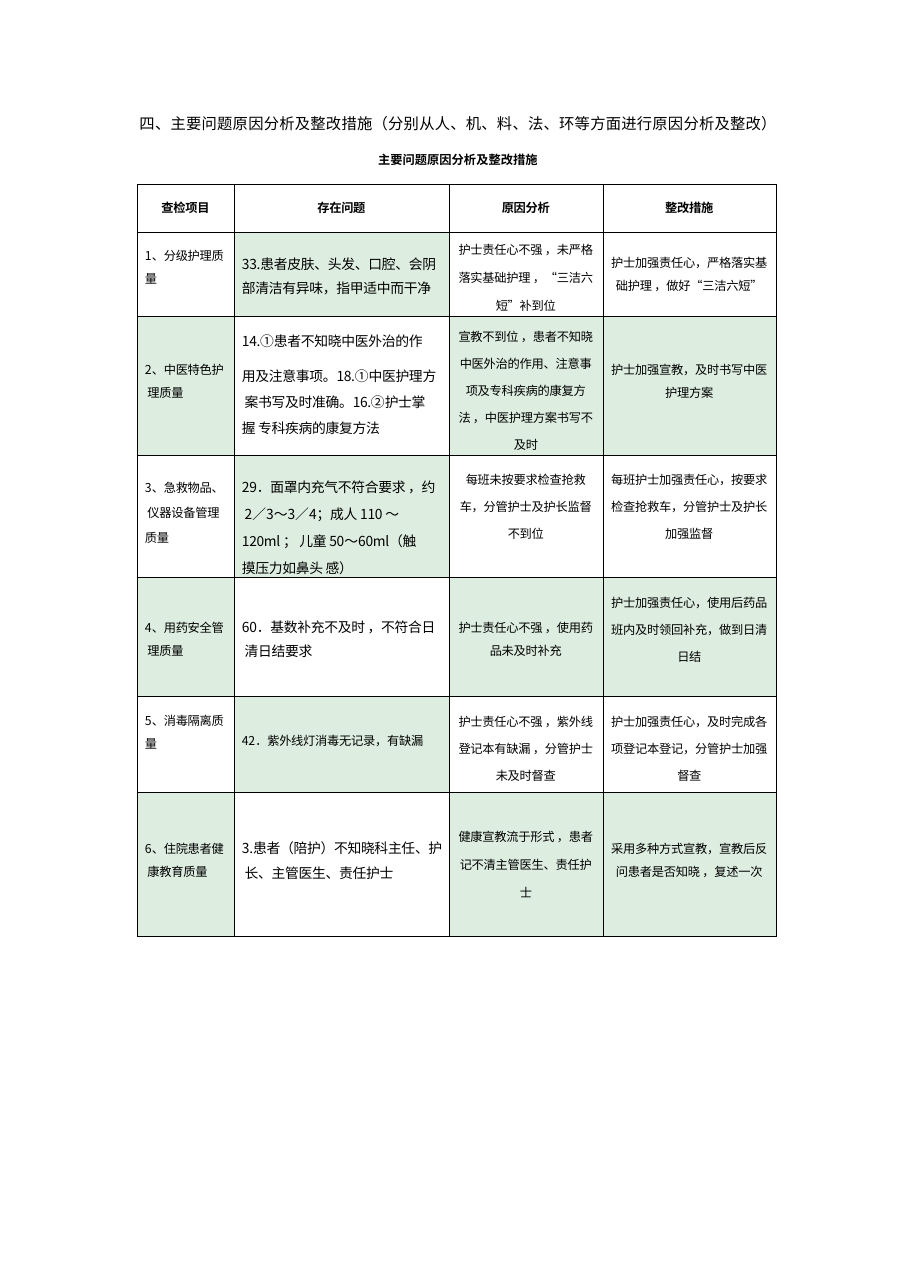
from dataclasses import dataclass
from itertools import accumulate

from lxml import etree
from pptx import Presentation
from pptx.dml.color import RGBColor
from pptx.enum.text import MSO_ANCHOR, PP_ALIGN
from pptx.oxml.ns import qn
from pptx.util import Emu, Pt

LEFT, CENTER = PP_ALIGN.LEFT, PP_ALIGN.CENTER
TOP = MSO_ANCHOR.TOP

EMU_PER_PX = 8298
PX_PER_POINT = 12700 / EMU_PER_PX
FONT = "Noto Sans CJK SC"
COLORS = {"ink": "000000", "green": "DDEDE0", "white": "FFFFFF"}
LINE_HEIGHT = 18
LINE_DROP = 0.67  # from a line's visual middle to its bottom, in ems
TABLE_LEFT, TABLE_TOP = 137, 184
COLUMN_WIDTHS = [97, 215, 154, 173]
ROW_HEIGHTS = [48, 84, 139, 122, 119, 96, 144]
PROBLEM_COLUMN = 1


@dataclass(frozen=True)
class Style:
    points: int = 8
    bold: bool = False
    tracking: float = -0.2
    align: PP_ALIGN = LEFT


@dataclass(frozen=True)
class Entry:
    """Lines of one cell: middle of the first line, then line pitch, in px."""
    first: int
    pitch: int
    lines: list[str]
    points: int = 8
    lead: int = 0  # extra gap after the first line


HEADINGS = ["查检项目", "存在问题", "原因分析", "整改措施"]
ROWS = [
    [Entry(208, 0, [heading]) for heading in HEADINGS],
    [
        Entry(256, 23, ["1、分级护理质", "量"]),
        Entry(264, 24, ["33.患者皮肤、头发、口腔、会阴", "部清洁有异味，指甲适中而干净"], 9),
        Entry(250, 28, ["护士责任心不强 ，未严格", "落实基础护理 ，“三洁六", "短”补到位"]),
        Entry(263, 23, ["护士加强责任心，严格落实基", "础护理 ，做好“三洁六短”"]),
    ],
    [
        Entry(370, 23, ["2、中医特色护", " 理质量"]),
        Entry(341, 26, ["14.①患者不知晓中医外治的作", "用及注意事项。18.①中医护理方",
                        " 案书写及时准确。16.②护士掌", "握 专科疾病的康复方法"], 9, lead=9),
        Entry(337, 27, ["宣教不到位 ，患者不知晓", "中医外治的作用、注意事", "项及专科疾病的康复方",
                        "法 ，中医护理方案书写不", "及时"]),
        Entry(370, 23, ["护士加强宣教，及时书写中医", "护理方案"]),
    ],
    [
        Entry(488, 25, ["3、急救物品、", " 仪器设备管理", "质量"]),
        Entry(487, 27, ["29．面罩内充气不符合要求 ，约", " 2／3～3／4；成人 110 ～",
                        "120ml ； 儿童 50～60ml（触", "摸压力如鼻头 感）"], 9),
        Entry(480, 27, ["每班未按要求检查抢救", "车，分管护士及护长监督", "不到位"]),
        Entry(480, 27, ["每班护士加强责任心，按要求", "检查抢救车，分管护士及护长", "加强监督"]),
    ],
    [
        Entry(627, 23, ["4、用药安全管", " 理质量"]),
        Entry(627, 24, ["60．基数补充不及时 ，不符合日", " 清日结要求"], 9),
        Entry(627, 23, ["护士责任心不强 ，使用药", "品未及时补充"]),
        Entry(602, 27, ["护士加强责任心，使用后药品", "班内及时领回补充，做到日清", "日结"]),
    ],
    [
        Entry(720, 23, ["5、消毒隔离质", "量"]),
        Entry(740, 0, ["42．紫外线灯消毒无记录，有缺漏"]),
        Entry(721, 27, ["护士责任心不强 ，紫外线", "登记本有缺漏 ，分管护士", "未及时督查"]),
        Entry(721, 27, ["护士加强责任心，及时完成各", "项登记本登记，分管护士加强", "督查"]),
    ],
    [
        Entry(848, 23, ["6、住院患者健", " 康教育质量"]),
        Entry(848, 25, ["3.患者（陪护）不知晓科主任、护", " 长、主管医生、责任护士"], 9),
        Entry(836, 28, ["健康宣教流于形式 ，患者", "记不清主管医生、责任护", "士"]),
        Entry(848, 23, ["采用多种方式宣教，宣教后反", "问患者是否知晓 ，复述一次"]),
    ],
]


def px(length: float) -> Emu:
    return Emu(round(length * EMU_PER_PX))


def line_top(middle: int, points: int) -> float:
    """Top of a fixed-height line whose glyphs are centred on middle."""
    return middle + LINE_DROP * points * PX_PER_POINT - LINE_HEIGHT


def write_line(paragraph, text: str, style: Style, gap: int = 0) -> None:
    paragraph.text = text
    paragraph.alignment = style.align
    paragraph.line_spacing = Pt(round(LINE_HEIGHT * PX_PER_POINT ** -1, 1))
    paragraph.space_before = Pt(round(gap / PX_PER_POINT, 1))
    font = paragraph.font
    font.size = Pt(style.points)
    font.bold = style.bold
    font.color.rgb = RGBColor.from_string(COLORS["ink"])
    font.name = FONT
    properties = paragraph._p.pPr.find(qn("a:defRPr"))
    properties.set("spc", str(round(style.tracking * 100)))
    etree.SubElement(properties, qn("a:ea"), typeface=FONT)


def set_borders(cell) -> None:
    properties = cell._tc.get_or_add_tcPr()
    for side in ("a:lnL", "a:lnR", "a:lnT", "a:lnB"):
        line = etree.SubElement(properties, qn(side), w=str(Pt(0.25)))
        fill = etree.SubElement(line, qn("a:solidFill"))
        etree.SubElement(fill, qn("a:srgbClr"), val=COLORS["ink"])


def write_cell(cell, entry: Entry, row_top: int, style: Style, indent: int, color: str) -> None:
    set_borders(cell)
    cell.fill.solid()
    cell.fill.fore_color.rgb = RGBColor.from_string(COLORS[color])
    cell.vertical_anchor = TOP
    cell.margin_left = px(indent)
    cell.margin_right = cell.margin_bottom = 0
    cell.margin_top = px(line_top(entry.first, entry.points) - row_top)
    frame = cell.text_frame
    for index, text in enumerate(entry.lines):
        paragraph = frame.add_paragraph() if index else frame.paragraphs[0]
        gap = entry.pitch - LINE_HEIGHT if index else 0
        write_line(paragraph, text, style, gap + (entry.lead if index == 1 else 0))


def add_titles(slide) -> None:
    top = line_top(122, 10)
    frame = slide.shapes.add_textbox(px(131), px(top), px(654), px(56)).text_frame
    frame.word_wrap = True
    frame.margin_left = frame.margin_right = frame.margin_top = frame.margin_bottom = 0
    write_line(frame.paragraphs[0], "四、主要问题原因分析及整改措施（分别从人、机、料、法、环等方面进行原因分析及整改）",
               Style(10, tracking=0.2, align=CENTER))
    write_line(frame.add_paragraph(), "主要问题原因分析及整改措施",
               Style(bold=True, tracking=0, align=CENTER), gap=17)


def add_measures_table(slide) -> None:
    table = slide.shapes.add_table(
        len(ROW_HEIGHTS), len(COLUMN_WIDTHS), px(TABLE_LEFT), px(TABLE_TOP),
        px(sum(COLUMN_WIDTHS)), px(sum(ROW_HEIGHTS))).table
    table.first_row = table.horz_banding = False
    for column, width in zip(table.columns, COLUMN_WIDTHS):
        column.width = px(width)
    for row, height in zip(table.rows, ROW_HEIGHTS):
        row.height = px(height)
    row_tops = accumulate(ROW_HEIGHTS[:-1], initial=TABLE_TOP)
    for row_index, (row_top, entries) in enumerate(zip(row_tops, ROWS)):
        is_header = row_index == 0
        for column_index, entry in enumerate(entries):
            is_problem = column_index == PROBLEM_COLUMN
            is_green = not is_header and (row_index % 2 == 1) == is_problem
            is_centred = is_header or column_index > PROBLEM_COLUMN
            style = Style(entry.points, is_header, align=CENTER if is_centred else LEFT)
            write_cell(table.cell(row_index, column_index), entry, row_top, style,
                       0 if is_centred else 8, "green" if is_green else "white")


def main() -> None:
    presentation = Presentation()
    presentation.slide_width, presentation.slide_height = px(911), px(1288)
    slide = presentation.slides.add_slide(presentation.slide_layouts[6])
    add_measures_table(slide)
    add_titles(slide)
    presentation.save("out.pptx")


if __name__ == "__main__":
    main()
